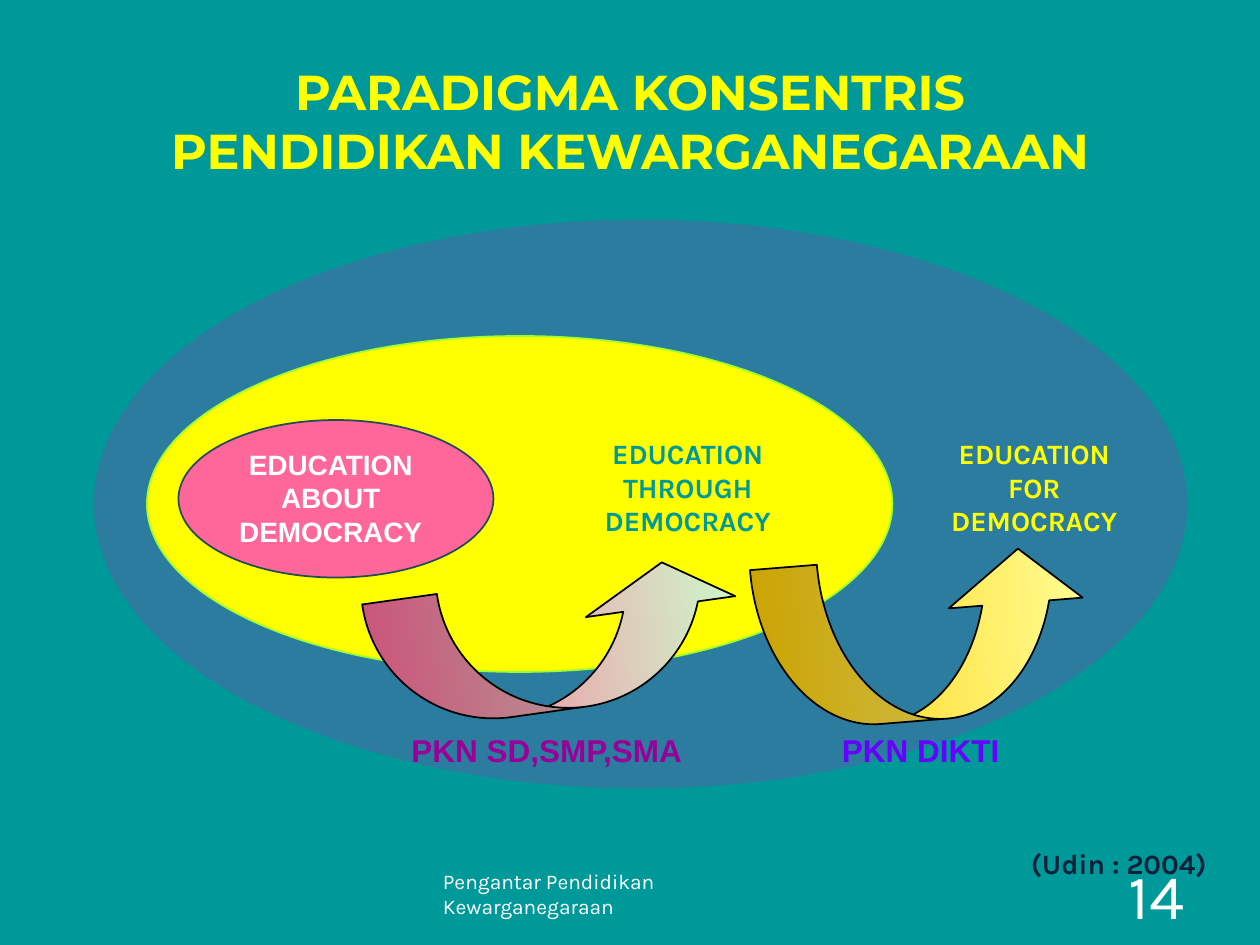
import dataclasses

import pptx
import pptx.dml.color
import pptx.enum.shapes
import pptx.enum.text
import pptx.util

ALIGN = pptx.enum.text.PP_ALIGN
ANCHOR = pptx.enum.text.MSO_ANCHOR
SHAPE = pptx.enum.shapes.MSO_SHAPE

# The slide is a grid of 120 columns and 90 rows.
CELL = pptx.util.Inches(10) / 120


@dataclasses.dataclass(frozen=True)
class Theme:
    background: str = "009999"
    white: str = "FFFFFF"
    yellow: str = "FFFF00"
    blue: str = "2C7C9F"
    lime: str = "99FF33"
    pink: str = "FF6699"
    slate: str = "244A58"
    navy: str = "09213B"
    purple: str = "990099"
    violet: str = "6600FF"
    black: str = "000000"
    pale_green: str = "CCFFCC"
    pale_yellow: str = "FFFF99"
    gold: str = "FFCC00"
    title_font: str = "Montserrat"
    body_font: str = "Karla"
    label_font: str = "Arial"
    title_size: int = 28
    footer_size: int = 12
    number_size: int = 36
    ring_size: int = 16
    level_size: int = 18


THEME = Theme()


def rgb(value):
    return pptx.dml.color.RGBColor.from_string(value)


def grid(*cells):
    return [pptx.util.Emu(round(cell * CELL)) for cell in cells]


def write(shape, text, font, size, color, bold=True, align=ALIGN.LEFT):
    paragraph = shape.text_frame.paragraphs[0]
    paragraph.text = text
    paragraph.alignment = align
    for run in paragraph.runs:
        run.font.name = font
        run.font.size = pptx.util.Pt(size)
        run.font.bold = bold
        run.font.color.rgb = rgb(color)


def add_title(slide, text):
    title = slide.shapes.title
    title.left, title.top, title.width, title.height = grid(11, 5, 98, 12.1)
    frame = title.text_frame
    frame.auto_size = pptx.enum.text.MSO_AUTO_SIZE.NONE
    frame.vertical_anchor = ANCHOR.BOTTOM
    frame.margin_top = frame.margin_bottom = 0
    write(title, text, THEME.title_font, THEME.title_size, THEME.yellow,
          align=ALIGN.CENTER)


def add_text(slide, cells, text, font, size, color, wrap=True,
             anchor=ANCHOR.TOP, **style):
    box = slide.shapes.add_textbox(*grid(*cells))
    box.text_frame.word_wrap = wrap
    box.text_frame.vertical_anchor = anchor
    write(box, text, font, size, color, **style)


def add_outlined(slide, kind, cells, line):
    shape = slide.shapes.add_shape(kind, *grid(*cells))
    shape.shadow.inherit = False
    shape.line.color.rgb = rgb(line)
    shape.line.width = pptx.util.Pt(1)
    return shape


def add_ellipse(slide, cells, fill, line):
    ellipse = add_outlined(slide, SHAPE.OVAL, cells, line)
    ellipse.fill.solid()
    ellipse.fill.fore_color.rgb = rgb(fill)


def add_curved_arrow(slide, cells, rotation, adjustments, colors):
    """Draw an arrow whose gradient runs from its head to its tail."""
    arrow = add_outlined(slide, SHAPE.CURVED_UP_ARROW, cells, THEME.black)
    arrow.rotation = rotation
    for index, value in enumerate(adjustments):
        arrow.adjustments[index] = value
    arrow.fill.gradient()
    arrow.fill.gradient_angle = 180
    for stop, position, color in zip(arrow.fill.gradient_stops, (0, 1), colors):
        stop.position = position
        stop.color.rgb = rgb(color)


def main():
    presentation = pptx.Presentation()
    presentation.slide_width, presentation.slide_height = grid(120, 90)
    slide = presentation.slides.add_slide(presentation.slide_layouts[5])
    slide.background.fill.solid()
    slide.background.fill.fore_color.rgb = rgb(THEME.background)

    add_title(slide, "PARADIGMA KONSENTRIS PENDIDIKAN KEWARGANEGARAAN")
    add_text(slide, (41, 82, 38, 6.25), "Pengantar Pendidikan Kewarganegaraan",
             THEME.body_font, THEME.footer_size, THEME.white,
             anchor=ANCHOR.MIDDLE, bold=False)
    add_text(slide, (86, 82, 28, 6.25), "14",
             THEME.body_font, THEME.number_size, THEME.white,
             anchor=ANCHOR.MIDDLE, bold=False, align=ALIGN.RIGHT)

    add_ellipse(slide, (9, 21, 104, 54), THEME.blue, THEME.blue)
    add_ellipse(slide, (14, 32, 71, 32), THEME.yellow, THEME.lime)
    add_ellipse(slide, (17, 40, 30, 15), THEME.pink, THEME.slate)

    for column, row, word, font, color in (
        (88, 41, "FOR", THEME.body_font, THEME.yellow),
        (55, 41, "THROUGH", THEME.body_font, THEME.background),
        (21, 42, "ABOUT", THEME.label_font, THEME.white),
    ):
        add_text(slide, (column, row, 21, 10.8), f"EDUCATION {word} DEMOCRACY",
                 font, THEME.ring_size, color, align=ALIGN.CENTER)
    add_text(slide, (97, 80, 23, 4.4), "(Udin : 2004)",
             THEME.body_font, THEME.ring_size, THEME.navy)

    add_curved_arrow(slide, (35.2, 55, 36, 12.6), 352, (0.57, 1.14, 0.33),
                     (THEME.pale_green, THEME.pink))
    add_curved_arrow(slide, (72, 53, 32, 15.6), 355.4, (0.41, 0.82, 0.33),
                     (THEME.pale_yellow, THEME.gold))

    for column, width, text, color in (
        (38, 28.5, "PKN SD,SMP,SMA", THEME.purple),
        (79, 17.4, "PKN DIKTI", THEME.violet),
    ):
        add_text(slide, (column, 69, width, 4.8), text, THEME.label_font,
                 THEME.level_size, color, wrap=False)

    presentation.save("out.pptx")


if __name__ == "__main__":
    main()
